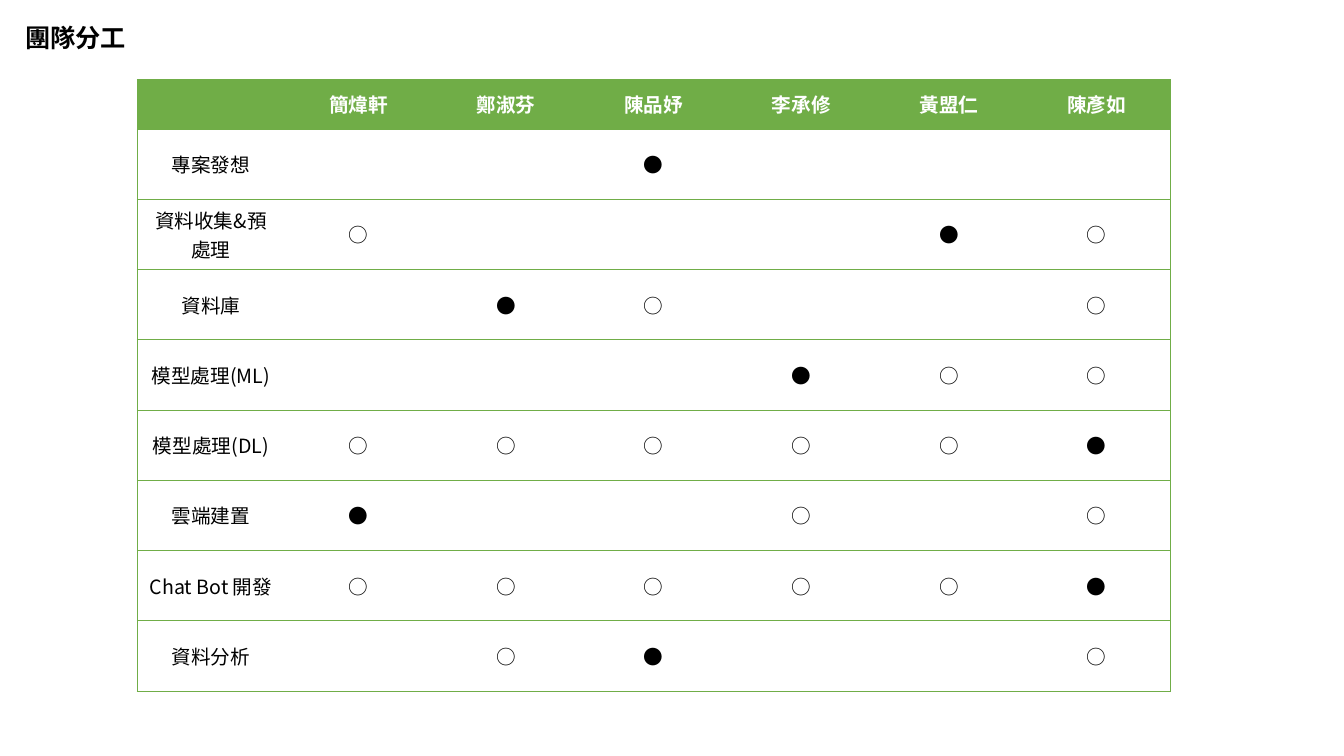
from lxml import etree
from pptx import Presentation
from pptx.dml.color import RGBColor
from pptx.enum.text import MSO_ANCHOR, MSO_AUTO_SIZE, PP_ALIGN
from pptx.oxml.ns import qn
from pptx.util import Inches, Pt

GREEN = RGBColor(0x70, 0xAD, 0x47)
WHITE = RGBColor(0xFF, 0xFF, 0xFF)
BLACK = RGBColor(0x00, 0x00, 0x00)
FONT = "Noto Sans CJK SC"
MIDDLE, CENTER, LEFT = MSO_ANCHOR.MIDDLE, PP_ALIGN.CENTER, PP_ALIGN.LEFT
FIT_SHAPE = MSO_AUTO_SIZE.SHAPE_TO_FIT_TEXT
TITLE_ONLY = 5

MEMBERS = ["簡煒軒", "鄭淑芬", "陳品妤", "李承修", "黃盟仁", "陳彥如"]
# One mark per member: ● leads the task, ○ supports it, - takes no part
TASKS = [
    ("專案發想", "--●---"),
    ("資料收集&預處理", "○---●○"),
    ("資料庫", "-●○--○"),
    ("模型處理(ML)", "---●○○"),
    ("模型處理(DL)", "○○○○○●"),
    ("雲端建置", "●--○-○"),
    ("Chat Bot 開發", "○○○○○●"),
    ("資料分析", "-○●--○"),
]


def write(frame, text, size, color, bold, align):
    frame.text = text
    paragraph = frame.paragraphs[0]
    paragraph.alignment = align
    for run in paragraph.runs:
        run.font.size, run.font.bold, run.font.name = Pt(size), bold, FONT
        run.font.color.rgb = color
        east_asian = etree.SubElement(run.font._element, qn("a:ea"))
        east_asian.set("typeface", FONT)


def set_borders(cell, green_sides):
    properties = cell._tc.get_or_add_tcPr()
    for position, side in enumerate("LRTB"):
        line = etree.Element(qn(f"a:ln{side}"), w=str(Pt(0.5)))
        if side in green_sides:
            fill = etree.SubElement(line, qn("a:solidFill"))
            etree.SubElement(fill, qn("a:srgbClr"), val=str(GREEN))
        else:
            etree.SubElement(line, qn("a:noFill"))
        properties.insert(position, line)


prs = Presentation()
prs.slide_width, prs.slide_height = Inches(13.33), Inches(7.5)
slide = prs.slides.add_slide(prs.slide_layouts[TITLE_ONLY])

# Title
heading = slide.shapes.title
heading.left, heading.top = Inches(0.15), Inches(0.17)
heading.width, heading.height = Inches(1.21), Inches(0.4)
write(heading.text_frame, "團隊分工", 18, BLACK, True, LEFT)
heading.text_frame.word_wrap = False
heading.text_frame.auto_size = FIT_SHAPE
heading.text_frame.vertical_anchor = MSO_ANCHOR.TOP

# Division of work: tasks down, members across
grid = [["", *MEMBERS]]
grid += [[task, *marks.replace("-", " ")] for task, marks in TASKS]
last_column = len(MEMBERS)
duties = slide.shapes.add_table(
    len(grid), last_column + 1,
    Inches(1.36), Inches(0.79), Inches(10.25), Inches(6.07)).table
duties.horz_banding = False
for row in duties.rows:
    row.height = Inches(0.697)
duties.rows[0].height = Inches(0.49)

for r, entries in enumerate(grid):
    is_header = r == 0
    for c, entry in enumerate(entries):
        cell = duties.cell(r, c)
        cell.vertical_anchor = MIDDLE
        cell.fill.solid()
        cell.fill.fore_color.rgb = GREEN if is_header else WHITE
        write(cell.text_frame, entry.strip(), 14,
              WHITE if is_header else BLACK, is_header, CENTER)
        set_borders(cell, "TB" + "L" * (c == 0) + "R" * (c == last_column))

prs.save("out.pptx")
